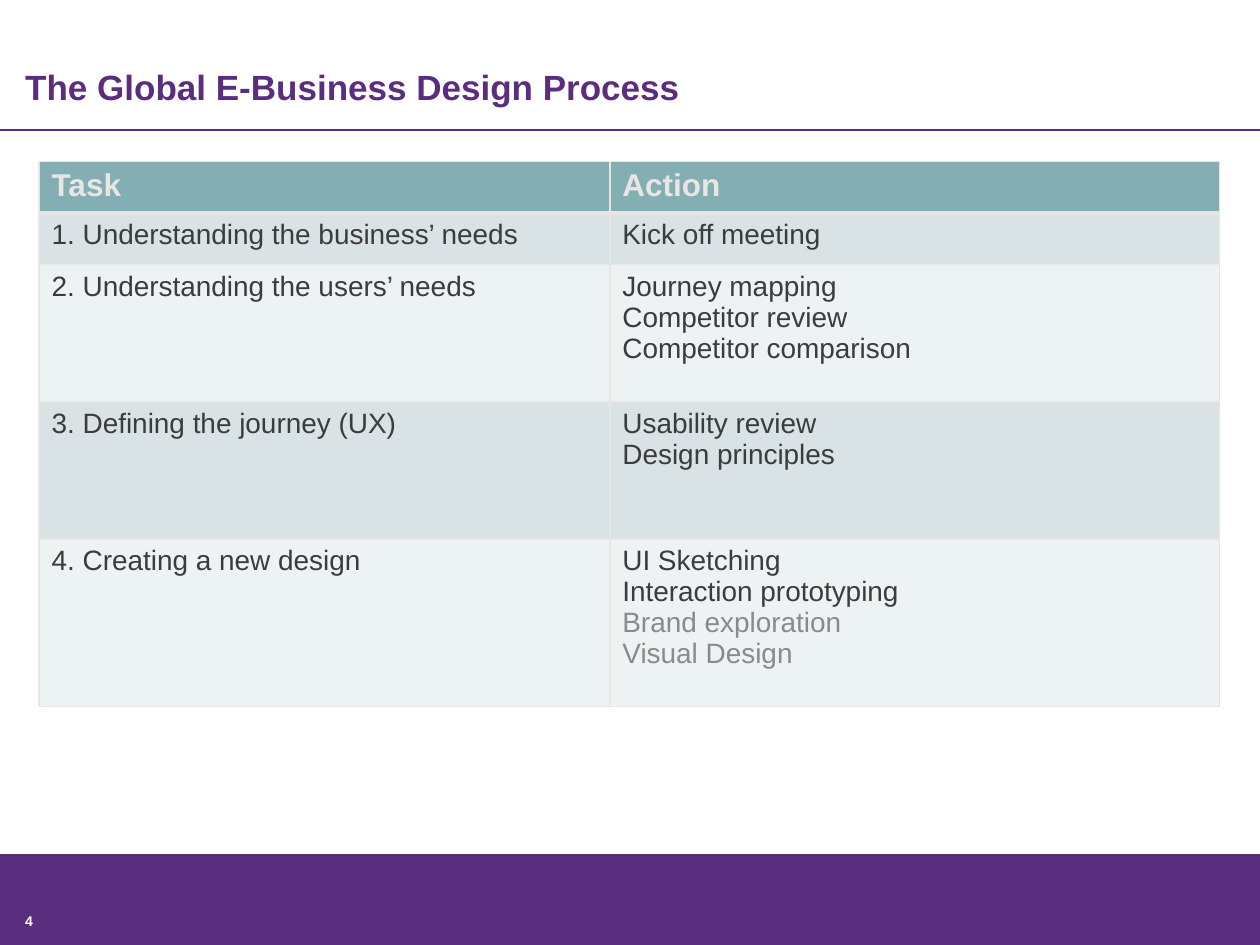
from dataclasses import dataclass

from lxml.etree import SubElement
from pptx import Presentation
from pptx.dml.color import RGBColor
from pptx.enum.shapes import MSO_CONNECTOR, MSO_SHAPE
from pptx.enum.text import MSO_ANCHOR, PP_ALIGN
from pptx.oxml.ns import qn
from pptx.util import Inches, Pt


@dataclass(frozen=True)
class Theme:
    font: str = "Arial"
    purple: str = "5A2D7F"
    dark: str = "3C3C3C"
    muted: str = "8A8A8A"
    light: str = "E8E6E2"
    white: str = "FFFFFF"
    header: str = "83AFB4"
    bands: tuple = ("D9E3E5", "EDF2F2")
    title_size: int = 20
    header_size: int = 18
    body_size: int = 16
    number_size: int = 8


THEME = Theme()
TITLE = "The Global E-Business Design Process"
PAGE_NUMBER = "4"
HEADINGS = ("Task", "Action")
STEPS = [
    ("1. Understanding the business’ needs", ["Kick off meeting"]),
    ("2. Understanding the users’ needs",
     ["Journey mapping", "Competitor review", "Competitor comparison"]),
    ("3. Defining the journey (UX)", ["Usability review", "Design principles"]),
    ("4. Creating a new design",
     ["UI Sketching", "Interaction prototyping", "Brand exploration", "Visual Design"]),
]
MUTED_ACTIONS = {"Brand exploration", "Visual Design"}

WIDTH, HEIGHT = 10, 7.5
MARGIN = 0.2
RULE_Y, FOOTER_Y = 1.03, 6.78
TABLE_LEFT, TABLE_TOP = 0.31, 1.28
COLUMN_WIDTHS = (4.53, 4.84)
ROW_HEIGHTS = (0.41, 0.41, 1.09, 1.09, 1.33)


def rgb(value):
    return RGBColor.from_string(value)


def style(paragraph, size, color, bold=False):
    for run in paragraph.runs:
        run.font.name = THEME.font
        run.font.size = Pt(size)
        run.font.bold = bold
        run.font.color.rgb = rgb(color)


def fill_frame(frame, text, size, color, anchor):
    """Set bold, left-aligned text in a frame without insets."""
    frame.text = text
    frame.word_wrap = True
    frame.vertical_anchor = anchor
    frame.margin_left = frame.margin_right = 0
    frame.margin_top = frame.margin_bottom = 0
    frame.paragraphs[0].alignment = PP_ALIGN.LEFT
    style(frame.paragraphs[0], size, color, bold=True)


def add_rule(slide, y, color, width):
    rule = slide.shapes.add_connector(
        MSO_CONNECTOR.STRAIGHT, 0, Inches(y), Inches(WIDTH), Inches(y))
    rule.line.color.rgb = rgb(color)
    rule.line.width = Pt(width)
    SubElement(rule._element.spPr, qn("a:effectLst"))


def set_borders(cell, **widths):
    """Draw cell borders; they must precede the fill in the cell's XML."""
    properties = cell._tc.get_or_add_tcPr()
    for side in ("L", "R", "T", "B"):
        border = SubElement(properties, qn(f"a:ln{side}"), w=str(Pt(widths.get(side, 1))))
        solid = SubElement(border, qn("a:solidFill"))
        SubElement(solid, qn("a:srgbClr"), val=THEME.light)


def add_process_table(slide):
    rows = [HEADINGS] + [(task, "\n".join(actions)) for task, actions in STEPS]
    table = slide.shapes.add_table(
        len(rows), len(HEADINGS), Inches(TABLE_LEFT), Inches(TABLE_TOP),
        Inches(sum(COLUMN_WIDTHS)), Inches(sum(ROW_HEIGHTS))).table
    for column, width in zip(table.columns, COLUMN_WIDTHS):
        column.width = Inches(width)
    for r, (texts, height) in enumerate(zip(rows, ROW_HEIGHTS)):
        table.rows[r].height = Inches(height)
        is_header = r == 0
        for c, text in enumerate(texts):
            cell = table.cell(r, c)
            set_borders(cell, B=3 if is_header else 1, T=3 if r == 1 else 1)
            cell.fill.solid()
            cell.fill.fore_color.rgb = rgb(
                THEME.header if is_header else THEME.bands[(r - 1) % 2])
            cell.text_frame.text = text
            for paragraph in cell.text_frame.paragraphs:
                if is_header:
                    style(paragraph, THEME.header_size, THEME.light, bold=True)
                else:
                    muted = paragraph.text in MUTED_ACTIONS
                    style(paragraph, THEME.body_size, THEME.muted if muted else THEME.dark)


def main():
    prs = Presentation()
    prs.slide_width, prs.slide_height = Inches(WIDTH), Inches(HEIGHT)
    slide = prs.slides.add_slide(prs.slide_layouts[5])

    add_rule(slide, FOOTER_Y, THEME.dark, 0.5)
    footer = slide.shapes.add_shape(
        MSO_SHAPE.RECTANGLE, 0, Inches(FOOTER_Y), Inches(WIDTH), Inches(HEIGHT - FOOTER_Y))
    footer.shadow.inherit = False
    footer.fill.solid()
    footer.fill.fore_color.rgb = rgb(THEME.purple)
    footer.line.fill.background()
    add_rule(slide, RULE_Y, THEME.purple, 1.25)

    number = slide.shapes.add_textbox(
        Inches(MARGIN), Inches(7.24), Inches(WIDTH * 2 / 3), Inches(0.15))
    fill_frame(number.text_frame, PAGE_NUMBER, THEME.number_size, THEME.white, MSO_ANCHOR.TOP)

    title = slide.shapes.title
    title.left, title.top = Inches(MARGIN), Inches(0.15)
    title.width, title.height = Inches(WIDTH - 2 * MARGIN), Inches(0.7)
    fill_frame(title.text_frame, TITLE, THEME.title_size, THEME.purple, MSO_ANCHOR.BOTTOM)

    add_process_table(slide)
    prs.save("out.pptx")


if __name__ == "__main__":
    main()
